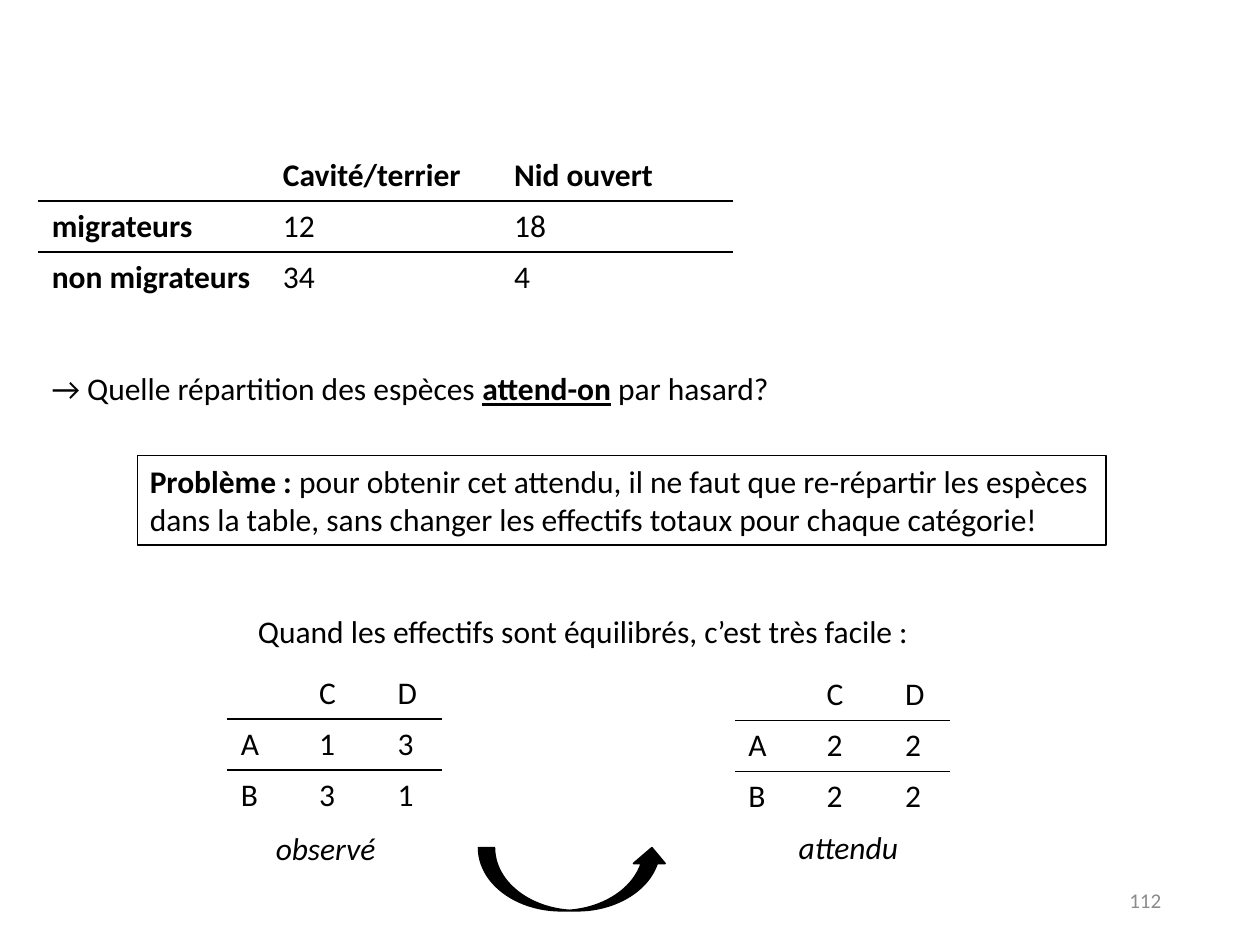
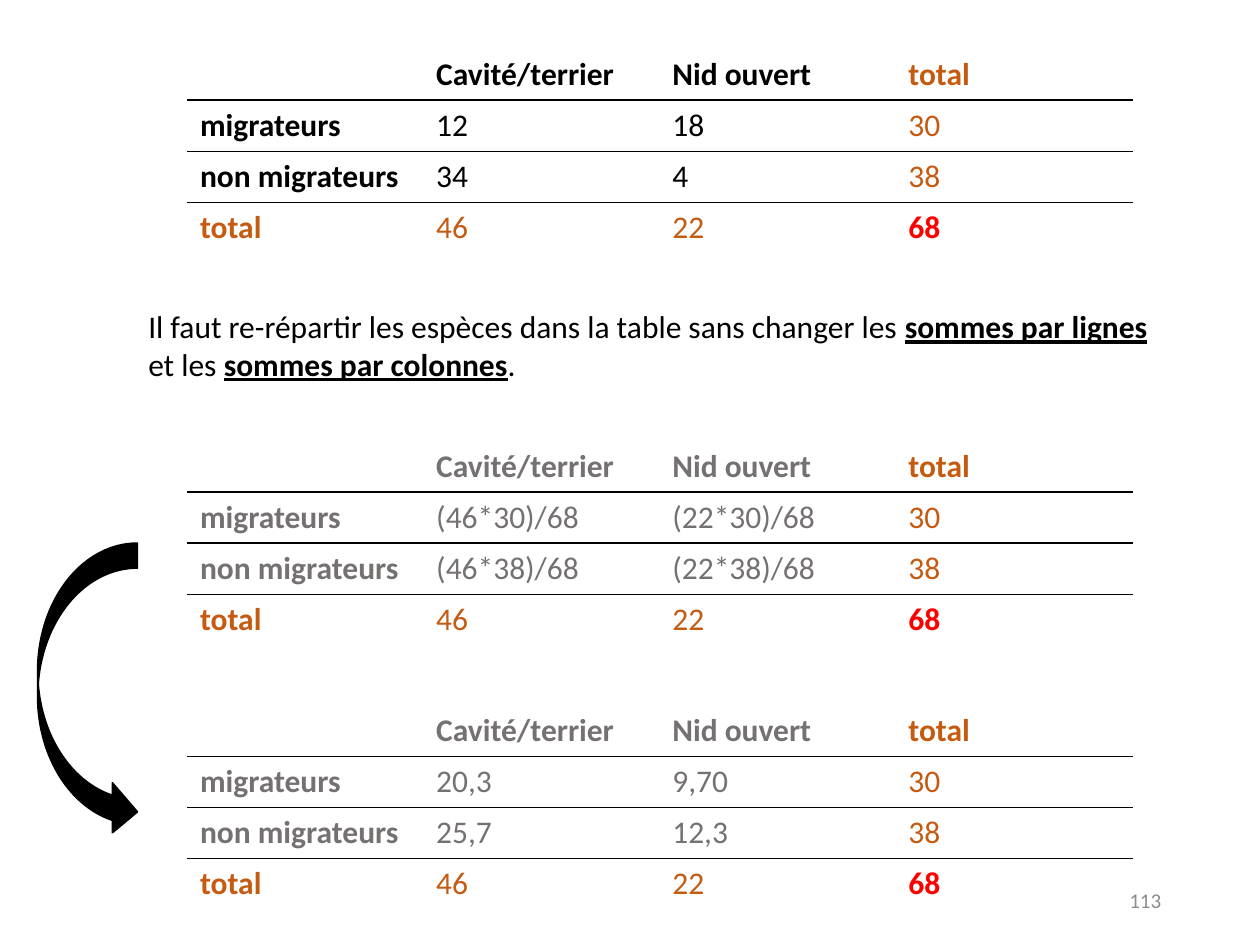
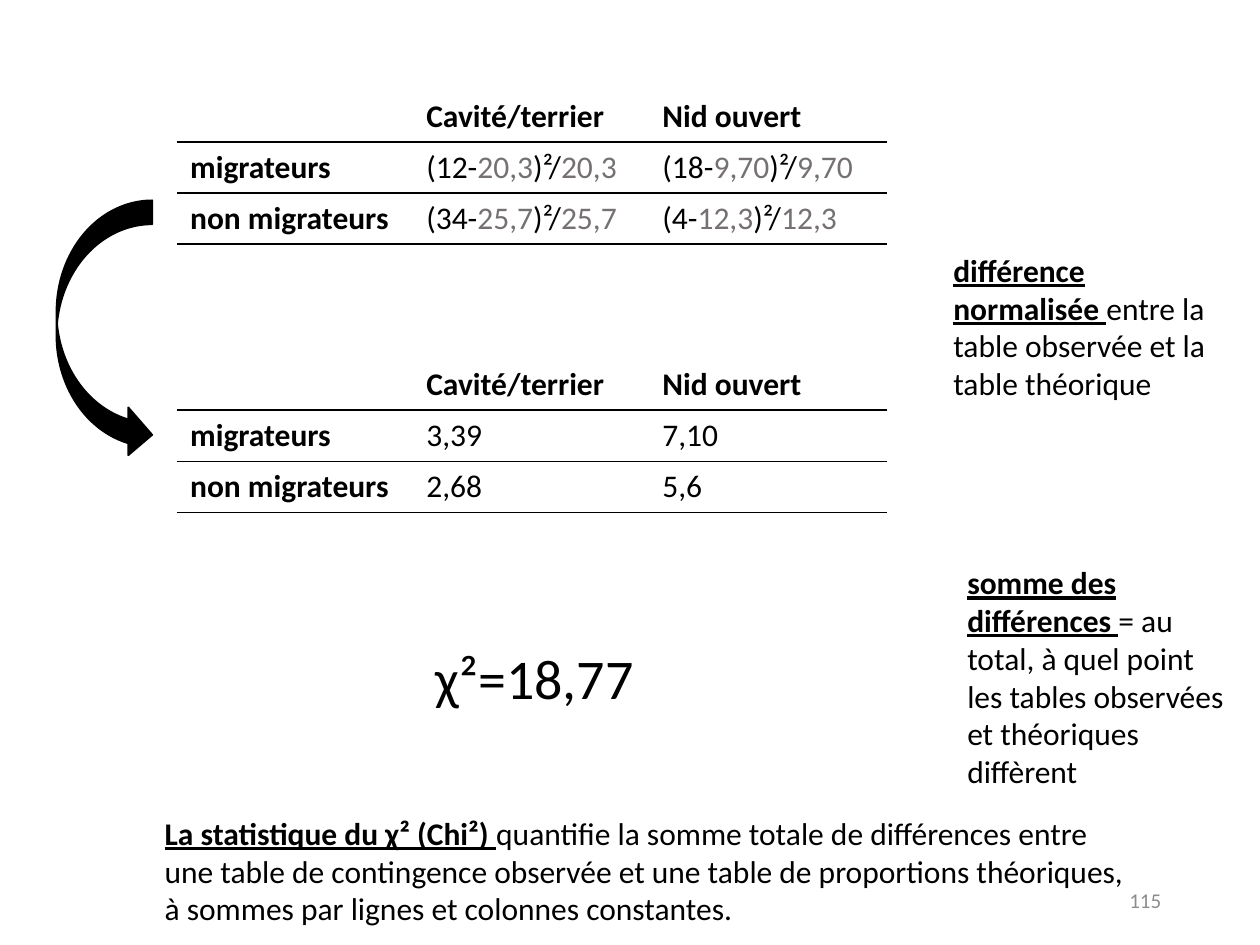
"""Build three slides on contingency tables and the chi-squared statistic."""
from dataclasses import dataclass

from lxml.etree import SubElement
from pptx import Presentation
from pptx.dml.color import RGBColor
from pptx.enum.shapes import MSO_SHAPE
from pptx.enum.text import MSO_ANCHOR, MSO_AUTO_SIZE, PP_ALIGN
from pptx.oxml.ns import qn
from pptx.util import Cm, Pt


@dataclass(frozen=True)
class Theme:
    font: str = "Calibri"
    ink: str = "000000"
    paper: str = "FFFFFF"
    grey: str = "767171"
    sum: str = "C55A11"
    all: str = "FF0000"
    foot: str = "8C8C8C"
    body: int = 18
    big: int = 32
    small: int = 12
    row: float = 1.03
    rule: float = 1


look = Theme()


def write(frame, runs, size=look.body):
    para = frame.paragraphs[0]
    for text, marks, tint in runs:
        run = para.add_run()
        run.text = text
        font = run.font
        font.name, font.size = look.font, Pt(size)
        font.bold, font.italic = "b" in marks, "i" in marks
        font.underline = "u" in marks
        font.color.rgb = RGBColor.from_string(tint)
    return para


def grid(slide, left, top, cols, rows, tint=look.ink, bold=True, sums=False, base=look.paper):
    high = len(rows)
    table = slide.shapes.add_table(high, len(cols), Cm(left), Cm(top),
                                   Cm(sum(cols)), Cm(look.row * high)).table
    table.first_row = table.horz_banding = False
    for col, wide in zip(table.columns, cols):
        col.width = Cm(wide)
    for y, row in enumerate(rows):
        table.rows[y].height = Cm(look.row)
        for x, item in enumerate(row):
            cell = table.cell(y, x)
            tail = (y == high - 1) + (x == len(cols) - 1) if sums else 0
            tone = (tint, look.sum, look.all)[tail]
            marks = "b" if bold and (x == 0 or y == 0 or tail == 2) else ""
            if isinstance(item, str):
                item = [(item, marks, tone)] if item else []
            write(cell.text_frame, item)
            edges = {"L": look.paper, "R": look.paper,
                     "T": look.ink if y else look.paper,
                     "B": look.ink if y < high - 1 else base}
            props = cell._tc.get_or_add_tcPr()
            for side, hue in edges.items():
                line = SubElement(props, qn(f"a:ln{side}"), w=str(Pt(look.rule)))
                fill = SubElement(line, qn("a:solidFill"))
                SubElement(fill, qn("a:srgbClr"), val=hue)
            cell.fill.background()


deck = Presentation()
deck.slide_width, deck.slide_height = Cm(25.4), Cm(19.05)
first, second, third = [deck.slides.add_slide(deck.slide_layouts[6]) for _ in range(3)]

head = ["", "Cavité/terrier", "Nid ouvert"]
names = ["migrateurs", "non migrateurs"]
seen = [["12", "18"], ["34", "4"]]
sums = ["30", "38"]
ways = [["(46*30)/68", "(22*30)/68"], ["(46*38)/68", "(22*38)/68"]]
hoped = [["20,3", "9,70"], ["25,7", "12,3"]]
gaps = [["3,39", "7,10"], ["2,68", "5,6"]]

grid(first, 0.79, 3.02, [4.66] * 3, [head] + [[n, *v] for n, v in zip(names, seen)])
for left, top, same, other in [(4.6, 13.46, "1", "3"), (14.83, 13.49, "2", "2")]:
    rows = [["", "C", "D"], ["A", same, other], ["B", other, same]]
    grid(first, left, top, [1.58, 1.58, 1.14], rows, bold=False)

for top, body, tint in [(0.99, seen, look.ink), (8.89, ways, look.grey), (14.22, hoped, look.grey)]:
    rows = [head + ["total"]] + [[n, *v, s] for n, v, s in zip(names, body, sums)]
    grid(second, 3.78, top, [4.76] * 4, rows + [["total", "46", "22", "68"]], tint, sums=True)

parts = [[[(f"({a}-", "", look.ink), (b, "", look.grey), (")²/", "", look.ink), (b, "", look.grey)]
          for a, b in zip(*pair)] for pair in zip(seen, hoped)]
for top, body in [(1.83, parts), (7.24, gaps)]:
    rows = [head] + [[n, *v] for n, v in zip(names, body)]
    grid(third, 3.58, top, [4.76] * 3, rows, base=look.ink)

texts = [
    (first, (0.79, 7.32, 16.28, 1.03), look.body, [
        ("→ Quelle répartition des espèces ", ""), ("attend-on", "bu"), (" par hasard?", "")]),
    (first, (2.77, 9.19, 19.53, 1.8), look.body, [
        ("Problème : ", "b"),
        ("pour obtenir cet attendu, il ne faut que re-répartir les espèces dans la table, "
         "sans changer les effectifs totaux pour chaque catégorie!", "")]),
    (first, (4.95, 12.22, 15.29, 1.03), look.body, [
        ("Quand les effectifs sont équilibrés, c’est très facile :", "")]),
    (first, (5.31, 16.59, 2.62, 1.03), look.body, [("observé", "i")]),
    (first, (15.85, 16.56, 2.62, 1.03), look.body, [("attendu", "i")]),
    (second, (2.74, 6.07, 21.08, 1.8), look.body, [
        ("Il faut re-répartir les espèces dans la table sans changer les ", ""),
        ("sommes par lignes ", "bu"), ("et les ", ""),
        ("sommes par colonnes", "bu"), (".", "")]),
    (third, (18.97, 4.93, 5.79, 3.33), look.body, [
        ("différence normalisée ", "bu"),
        ("entre la table observée et la table théorique", "")]),
    (third, (19.25, 11.23, 5.79, 4.88), look.body, [
        ("somme des différences ", "bu"),
        ("= au total, à quel point les tables observées et théoriques diffèrent", "")]),
    (third, (8.53, 12.85, 6.58, 1.63), look.big, [("χ²=18,77", "")]),
    (third, (3.07, 16.28, 19.99, 2.57), look.body, [
        ("La statistique du χ² (Chi²) ", "bu"),
        ("quantifie la somme totale de différences entre une table de contingence observée "
         "et une table de proportions théoriques, à sommes par lignes et colonnes constantes.", "")]),
]
for slide, place, size, runs in texts:
    box = slide.shapes.add_textbox(*map(Cm, place))
    box.text_frame.word_wrap = True
    box.text_frame.auto_size = MSO_AUTO_SIZE.SHAPE_TO_FIT_TEXT
    write(box.text_frame, [(text, marks, look.ink) for text, marks in runs], size)
    if runs[0][0].startswith("Problème"):
        box.line.color.rgb = RGBColor.from_string(look.ink)
        box.line.width = Pt(0.75)

arrows = [
    (first, MSO_SHAPE.CURVED_UP_ARROW, (9.65, 17.09, 3.81, 1.27)),
    (second, MSO_SHAPE.CURVED_RIGHT_ARROW, (0.76, 10.95, 2.01, 5.92)),
    (third, MSO_SHAPE.CURVED_RIGHT_ARROW, (1.14, 4.04, 1.93, 5.21)),
]
for slide, kind, place in arrows:
    arrow = slide.shapes.add_shape(kind, *map(Cm, place))
    arrow.shadow.inherit = False
    arrow.fill.solid()
    arrow.fill.fore_color.rgb = RGBColor.from_string(look.ink)
    arrow.line.color.rgb = RGBColor.from_string(look.ink)
    arrow.line.width = Pt(look.rule)

for slide, page in [(first, "112"), (second, "113"), (third, "115")]:
    foot = slide.shapes.add_textbox(Cm(17.94), Cm(17.65), Cm(5.72), Cm(1.01)).text_frame
    foot.word_wrap = True
    foot.vertical_anchor = MSO_ANCHOR.MIDDLE
    write(foot, [(page, "", look.foot)], look.small).alignment = PP_ALIGN.RIGHT

deck.save("out.pptx")
